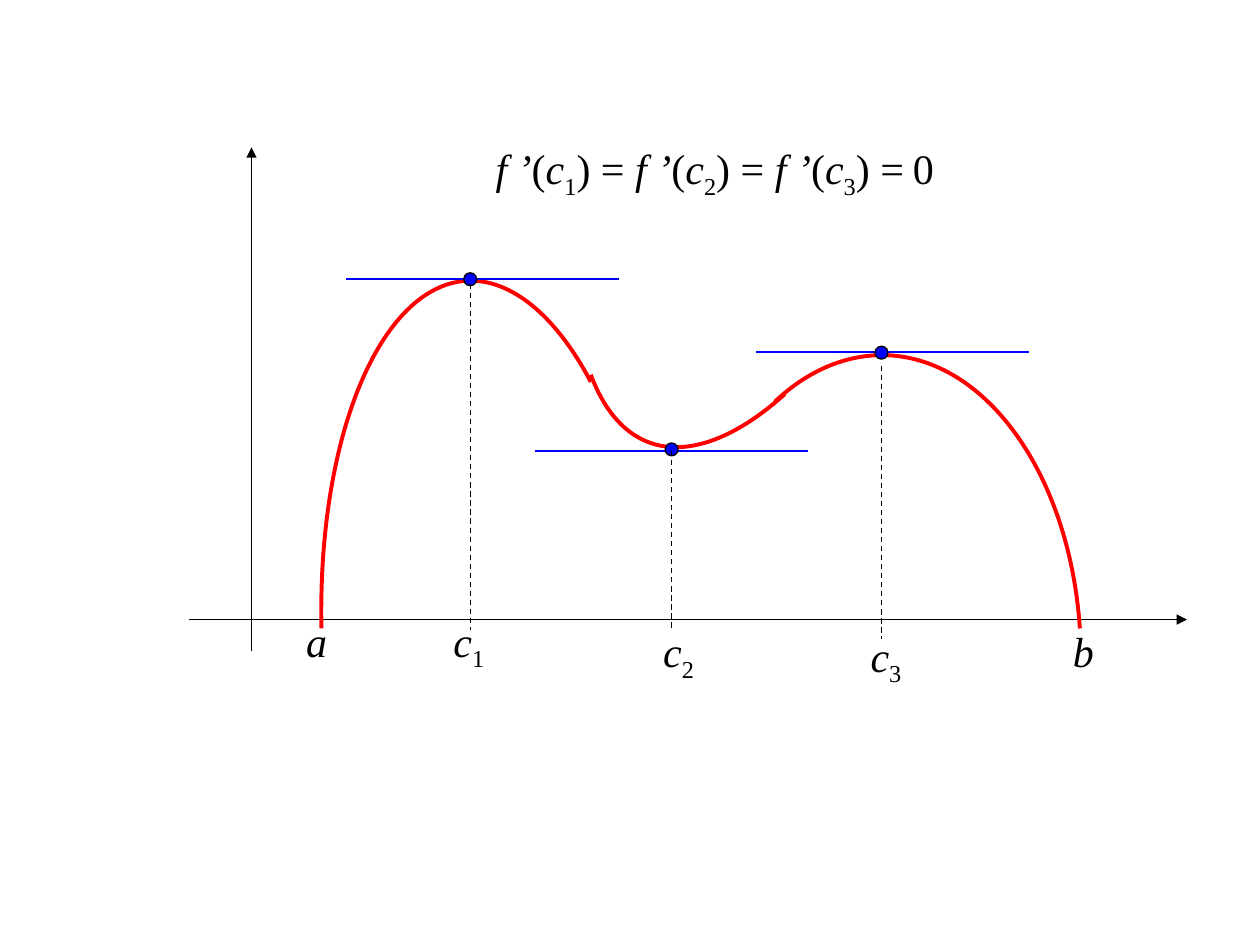
import copy
import math

import pptx
import pptx.dml.color
import pptx.enum.dml
import pptx.enum.shapes
import pptx.oxml.ns
import pptx.util
from lxml import etree

Cm = pptx.util.Cm
Pt = pptx.util.Pt
qn = pptx.oxml.ns.qn

COLORS = {"ink": "000000", "curve": "FF0000", "tangent": "0000FF"}
FONT = "Times New Roman"
GAP_FONT = "Arial"
TEXT_SIZE = 24
GAP_SIZE = 18
TANGENT_LENGTH = 5.5
DOT_SIZE = 0.26


def color(name):
    return pptx.dml.color.RGBColor.from_string(COLORS[name])


def turn(point, middle, degrees):
    angle = math.radians(degrees)
    x, y = point[0] - middle[0], point[1] - middle[1]
    return (middle[0] + x * math.cos(angle) - y * math.sin(angle),
            middle[1] + x * math.sin(angle) + y * math.cos(angle))


class Sketch:
    def __init__(self, slide):
        self.slide = slide
        self.shapes = slide.shapes

    def stroke(self, line, name, width):
        line.color.rgb = color(name)
        line.width = Pt(width)

    def line(self, start, end, name="ink", width=0.75, dashed=False, arrow=False):
        connector = self.shapes.add_connector(
            pptx.enum.shapes.MSO_CONNECTOR.STRAIGHT,
            *(Cm(value) for value in (*start, *end)))
        self.stroke(connector.line, name, width)
        if dashed:
            connector.line.dash_style = pptx.enum.dml.MSO_LINE.DASH
        properties = connector._element.spPr
        if arrow:
            etree.SubElement(properties.find(qn("a:ln")), qn("a:tailEnd"), type="triangle")
        etree.SubElement(properties, qn("a:effectLst"))

    def arc(self, bezier, center, middle=(0, 0), rotation=0):
        points = [turn(point, middle, -rotation) for point in (*bezier, center)]
        points = [(Cm(x), Cm(y)) for x, y in points]
        builder = self.shapes.build_freeform(*points[0])
        builder.add_line_segments(points[1:], close=True)
        shape = builder.convert_to_shape()
        shape.rotation = rotation
        shape.shadow.inherit = False
        shape.fill.background()
        self.stroke(shape.line, "curve", 2.25)

        sector = next(shape._element.iter(qn("a:path")))
        steps = sector.findall(qn("a:lnTo"))
        for first in range(0, len(bezier) - 1, 3):
            bend = etree.Element(qn("a:cubicBezTo"))
            steps[first].addprevious(bend)
            for step in steps[first:first + 3]:
                bend.append(step[0])
                sector.remove(step)
        edge = copy.deepcopy(sector)
        for child in edge[-2:]:
            edge.remove(child)
        edge.set("fill", "none")
        sector.set("stroke", "0")
        sector.addprevious(edge)

    def dot(self, x, y):
        shape = self.shapes.add_shape(
            pptx.enum.shapes.MSO_SHAPE.OVAL,
            Cm(x - DOT_SIZE / 2), Cm(y - DOT_SIZE / 2), Cm(DOT_SIZE), Cm(DOT_SIZE))
        shape.shadow.inherit = False
        shape.fill.solid()
        shape.fill.fore_color.rgb = color("tangent")
        self.stroke(shape.line, "ink", 0.75)

    def text(self, left, top, width, height, runs):
        box = self.shapes.add_textbox(Cm(left), Cm(top), Cm(width), Cm(height))
        box.text_frame.word_wrap = True
        para = box.text_frame.paragraphs[0]
        para.font.name = FONT
        para.font.size = Pt(TEXT_SIZE)
        para.font.color.rgb = color("ink")
        for words, style in runs:
            span = para.add_run()
            span.text = words
            span.font.italic = style == "italic"
            if style == "sub":
                span._r.get_or_add_rPr().set("baseline", "-25000")
            if style == "gap":
                span.font.name = GAP_FONT
                span.font.size = Pt(GAP_SIZE)


def indexed(number):
    return [("c", "italic"), (str(number), "sub")]


def main():
    deck = pptx.Presentation()
    deck.slide_width = Cm(25.4)
    deck.slide_height = Cm(19.05)
    sketch = Sketch(deck.slides.add_slide(deck.slide_layouts[6]))

    sketch.line((3.81, 12.49), (23.93, 12.49), arrow=True)
    sketch.line((5.07, 13.13), (5.07, 2.97), arrow=True)

    sketch.arc([(11.91, 7.7), (11.2, 6.35), (10.29, 5.61), (9.4, 5.66),
                (7.67, 5.77), (6.4, 8.79), (6.48, 12.67)],
               (9.88, 13.26), (9.14, 9.5), 356.4)
    sketch.arc([(15.62, 8.1), (16.26, 7.49), (17.02, 7.16), (17.78, 7.16),
                (19.84, 7.16), (21.56, 9.53), (21.77, 12.67)],
               (17.78, 13.28))
    sketch.arc([(11.86, 7.59), (12.12, 8.28), (12.5, 8.74), (13, 8.94),
                (13.77, 9.25), (14.76, 8.89), (15.77, 7.98)],
               (15.77, 1.85), (14.73, 5.51), 201.4)

    for letter, left, top in [("a", 5.92, 12.28), ("b", 21.38, 12.49)]:
        sketch.text(left, top, 1.27, 1.27, [(letter, "italic")])

    extrema = [
        ((9.48, 5.63), (6.98, 5.62), (5.72, 12.7), (8.89, 12.28)),
        ((13.54, 9.06), (10.79, 9.09), (9.09, 12.7), (13.12, 12.49)),
        ((17.77, 7.11), (15.24, 7.1), (7.37, 12.88), (17.3, 12.58)),
    ]
    for center, (left, level), _, _ in extrema:
        sketch.line((left, level), (left + TANGENT_LENGTH, level), "tangent", 1)
        sketch.dot(*center)
    for number, ((x, _), _, (top, bottom), label) in enumerate(extrema, 1):
        sketch.line((x, top), (x, bottom), dashed=True)
        sketch.text(*label, 1.27, 1.42, indexed(number))

    formula = []
    for number in range(1, len(extrema) + 1):
        equals = ") = " if number < len(extrema) else ") ="
        formula += [("f ’", "italic"), ("(", "plain"), *indexed(number), (equals, "plain")]
    formula += [(" ", "gap"), ("0", "plain")]
    sketch.text(9.74, 2.75, 10.58, 1.42, formula)

    deck.save("out.pptx")


if __name__ == "__main__":
    main()
